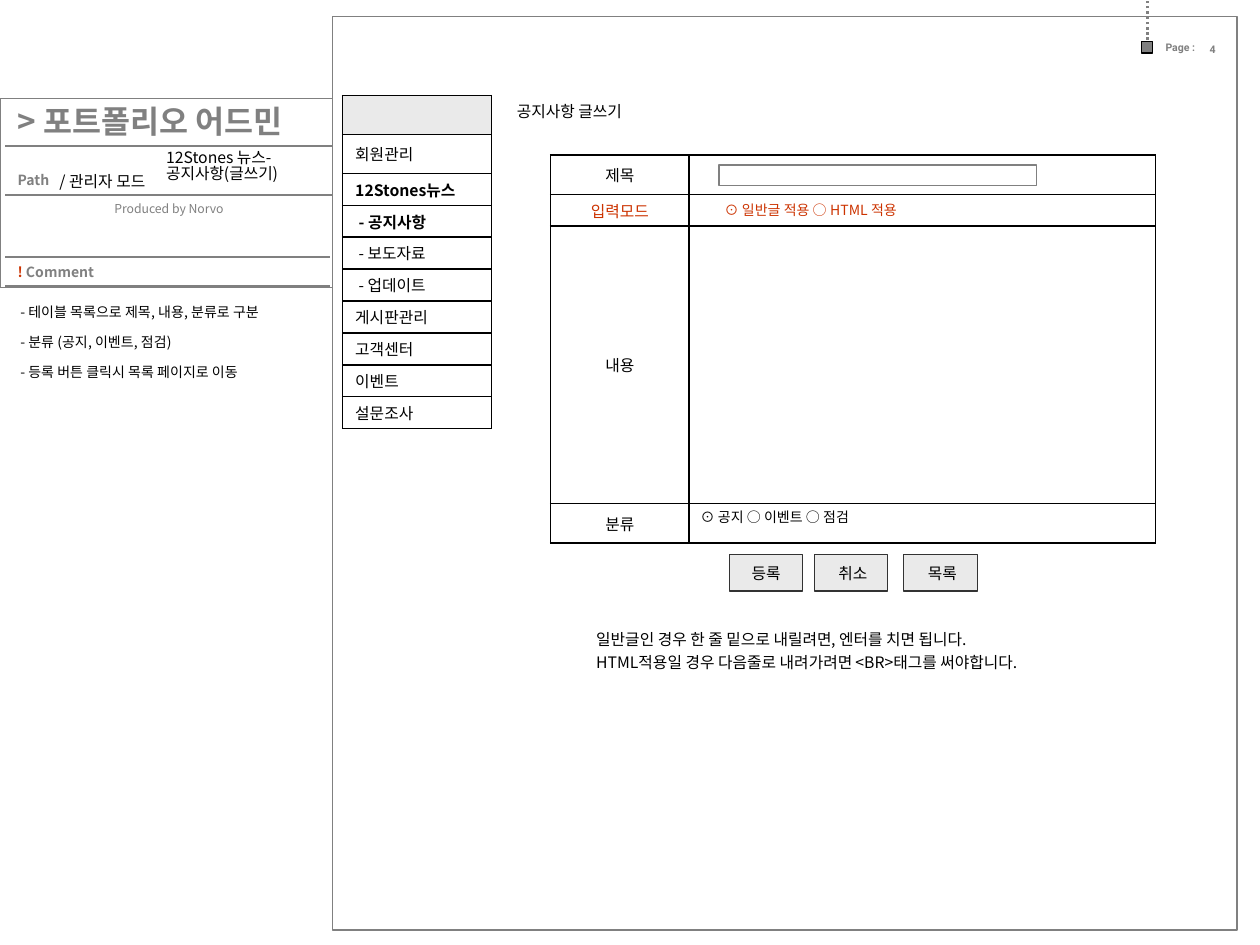
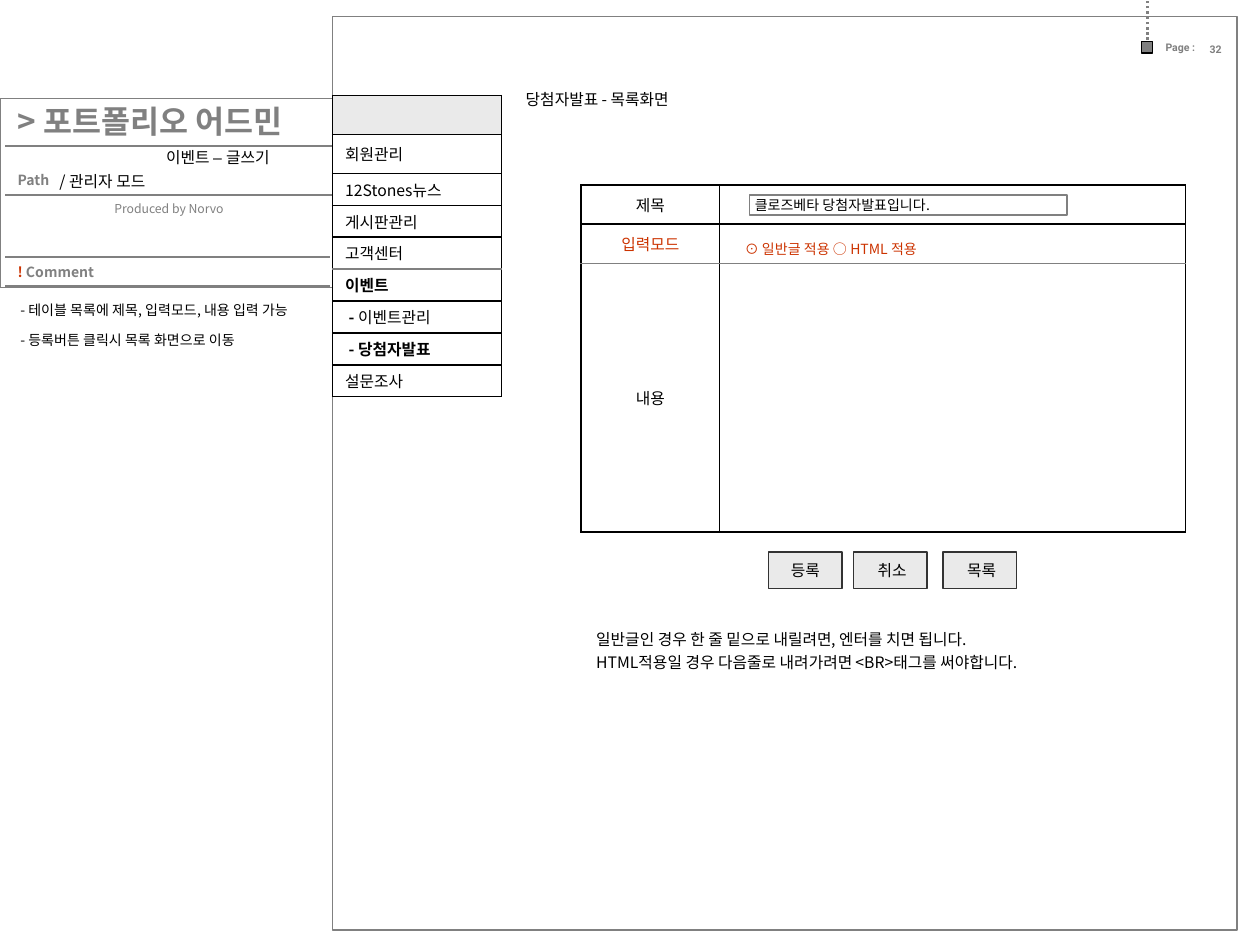
from dataclasses import dataclass
from itertools import accumulate

from lxml.etree import SubElement
from pptx import Presentation
from pptx.dml.color import RGBColor
from pptx.enum.dml import MSO_LINE_DASH_STYLE as Dash
from pptx.enum.shapes import MSO_CONNECTOR, MSO_SHAPE
from pptx.enum.text import MSO_ANCHOR as Anchor, PP_ALIGN as Align
from pptx.oxml.ns import qn
from pptx.util import Pt


@dataclass(frozen=True)
class Theme:
    font: str = "Noto Sans CJK KR"
    page_font: str = "Roboto"
    dash_font: str = "Arial"
    black: str = "000000"
    gray: str = "808080"
    red: str = "CC3300"
    panel: str = "EAEAEA"
    button_edge: str = "333333"
    title: float = 18
    body: float = 9
    small: float = 8
    credit: float = 7
    page: float = 6


THEME = Theme()
BOLD, PLAIN = {"bold": True}, {"bold": False}

# Content
PROJECT = "> 포트폴리오 어드민"
CREDIT = "Produced by Norvo"
MODE = "/ 관리자 모드"
INPUT_MODES = "⊙ 일반글 적용 ○ HTML 적용"
BUTTONS = ["등록", "취소", "목록"]
NOTES = [
    "일반글인 경우 한 줄 밑으로 내릴려면, 엔터를 치면 됩니다.",
    "HTML적용일 경우 다음줄로 내려가려면 <BR>태그를 써야합니다.",
]

SCREENS = [
    {
        "page": "4",
        "path": ["12Stones 뉴스-", "공지사항(글쓰기)"],
        "heading": ("공지사항 글쓰기", 292.3, 54.7),
        "comments": [
            "- 테이블 목록으로 제목, 내용, 분류로 구분",
            "- 분류 (공지, 이벤트, 점검)",
            "- 등록 버튼 클릭시 목록 페이지로 이동",
        ],
        "comment_height": 55.4,
        "menu": [
            "회원관리", [("12Stones뉴스", BOLD)], [("- 공지사항", BOLD)],
            "- 보도자료", "- 업데이트", "게시판관리", "고객센터", "이벤트", "설문조사",
        ],
        "menu_box": (195.8, 85),
        "menu_gray_after": None,
        "form": [("제목", 22.4), ("입력모드", 18.2), ("내용", 158.4), ("분류", 22.8)],
        "form_at": (314.6, 88.6),
        "form_gray_after": None,
        "field": "",
        "modes_at": (411.1, 111.6),
        "categories": "⊙ 공지 ○ 이벤트 ○ 점검",
        "buttons_at": (416.8, 316.9),
    },
    {
        "page": "32",
        "path": [[("이벤트 ", {}), ("– ", {"font": THEME.dash_font}), ("글쓰기", {})]],
        "heading": ("당첨자발표 - 목록화면", 297.4, 47.5),
        "comments": [
            "- 테이블 목록에 제목, 입력모드, 내용 입력 가능",
            "- 등록버튼 클릭시 목록 화면으로 이동",
        ],
        "comment_height": 36,
        "menu": [
            "회원관리", "12Stones뉴스", "게시판관리", "고객센터", [("이벤트", BOLD)],
            [("- ", BOLD), ("이벤트관리", PLAIN)], [("- 당첨자발표", BOLD)], "설문조사",
        ],
        "menu_box": (190, 96.5),
        "menu_gray_after": 4,
        "form": [("제목", 22.4), ("입력모드", 22.6), ("내용", 153.3)],
        "form_at": (332, 105.7),
        "form_gray_after": 1,
        "field": "클로즈베타 당첨자발표입니다.",
        "modes_at": (422.6, 133.9),
        "categories": None,
        "buttons_at": (439.2, 315.4),
    },
]


def rgb(color):
    return RGBColor.from_string(color)


def write(paragraph, content, size, color=THEME.black, bold=False, font=THEME.font):
    """Fill a paragraph from a string or from (text, overrides) runs."""
    pieces = [(content, {})] if isinstance(content, str) else content
    for text, changes in pieces:
        look = {"color": color, "bold": bold, "font": font, **changes}
        run = paragraph.add_run()
        run.text = text
        run.font.size = Pt(size)
        run.font.bold = look["bold"]
        run.font.color.rgb = rgb(look["color"])
        run.font.name = look["font"]
        SubElement(run.font._element, qn("a:ea"), typeface=look["font"])


def set_text(shape, paragraphs, size, inset=3, align=Align.LEFT, anchor=Anchor.MIDDLE,
             gap=0, spacing=None, top=0, **look):
    frame = shape.text_frame
    frame.word_wrap = True
    frame.vertical_anchor = anchor
    frame.margin_left = frame.margin_right = Pt(inset)
    frame.margin_top, frame.margin_bottom = Pt(top), 0
    for index, content in enumerate(paragraphs):
        paragraph = frame.add_paragraph() if index else frame.paragraphs[0]
        paragraph.alignment = align
        if index and gap:
            paragraph.space_before = Pt(gap)
        if spacing:
            paragraph.line_spacing = spacing
        write(paragraph, content, size, **look)


def add_text(slide, box, paragraphs, size, **options):
    shape = slide.shapes.add_textbox(*map(Pt, box))
    set_text(shape, paragraphs, size, **options)


def add_box(slide, box, edge, width=0.75, fill=None):
    shape = slide.shapes.add_shape(MSO_SHAPE.RECTANGLE, *map(Pt, box))
    shape.shadow.inherit = False
    if fill:
        shape.fill.solid()
        shape.fill.fore_color.rgb = rgb(fill)
    else:
        shape.fill.background()
    shape.line.color.rgb = rgb(edge)
    shape.line.width = Pt(width)
    return shape


def add_line(slide, start, end, width=1, dash=None):
    line = slide.shapes.add_connector(MSO_CONNECTOR.STRAIGHT, *map(Pt, start + end))
    line.line.color.rgb = rgb(THEME.gray)
    line.line.width = Pt(width)
    if dash:
        line.line.dash_style = dash
    SubElement(line._element.spPr, qn("a:effectLst"))


def set_borders(cell, **colors):
    properties = cell._tc.get_or_add_tcPr()
    for index, side in enumerate("LRTB"):
        line = properties.makeelement(qn(f"a:ln{side}"), {"w": str(Pt(1))})
        fill = SubElement(line, qn("a:solidFill"))
        SubElement(fill, qn("a:srgbClr"), val=colors.get(side, THEME.black))
        properties.insert(index, line)


def add_grid(slide, left, top, widths, heights, gray_after):
    """Add a plain ruled table; the rule below row gray_after is gray."""
    frame = slide.shapes.add_table(len(heights), len(widths), Pt(left), Pt(top),
                                   Pt(sum(widths)), Pt(sum(heights)))
    table = frame.table
    table.first_row = table.horz_banding = False
    for column, width in zip(table.columns, widths):
        column.width = Pt(width)
    for index, (row, height) in enumerate(zip(table.rows, heights)):
        row.height = Pt(height)
        colors = {}
        if gray_after is not None and index in (gray_after, gray_after + 1):
            colors["B" if index == gray_after else "T"] = THEME.gray
        for cell in row.cells:
            cell.fill.background()
            cell.vertical_anchor = Anchor.MIDDLE
            cell.margin_left = cell.margin_right = Pt(3)
            cell.margin_top = cell.margin_bottom = 0
            set_borders(cell, **colors)
            # Keeps empty cells from stretching their row
            ending = cell.text_frame.paragraphs[0]._p.get_or_add_endParaRPr()
            ending.set("sz", str(int(THEME.body * 100)))
    return table


def draw_frame(slide, screen):
    # Side panel
    gray_bold = {"color": THEME.gray, "bold": True}
    comment_title = [("!", {"color": THEME.red}), (" Comment", {})]
    add_text(slide, (3, 146.9, 131.8, 16.6), [comment_title], THEME.small,
             inset=7.2, **gray_bold)
    add_text(slide, (3, 111.6, 131.8, 14.6), [CREDIT], THEME.credit, inset=7.2,
             align=Align.RIGHT, color=THEME.gray)
    add_text(slide, (3, 95, 60, 16), ["Path"], THEME.small, inset=7.2, **gray_bold)
    add_text(slide, (3, 54.7, 185.8, 28.8), [PROJECT], THEME.title, inset=7.2, **gray_bold)
    for y, right in [(83.5, 190), (111.6, 190), (146.9, 188.6), (163.5, 188.6)]:
        add_line(slide, (3, y), (right, y))

    # Page marker and frames
    for text, box in [("Page :", (659.5, 20.2, 37.4, 13.7)),
                      (screen["page"], (684.7, 20.9, 33.8, 14.4))]:
        add_text(slide, box, [text], THEME.page, inset=6.5, font=THEME.page_font, **gray_bold)
    add_box(slide, (652.3, 23.8, 6.5, 6.5), THEME.black, fill=THEME.gray)
    add_line(slide, (655.9, 25.9), (655.9, 0.7), 1.5, Dash.ROUND_DOT)
    add_box(slide, (190, 9.4, 517, 522), THEME.gray, 1)
    add_box(slide, (0, 56.2, 190, 108), THEME.gray)

    # Path and comments
    add_text(slide, (31, 94.3, 158.4, 18), [MODE], THEME.body)
    add_text(slide, (87.8, 82.8, 101.5, 25), screen["path"], THEME.body, inset=7.2,
             anchor=Anchor.TOP, top=3.6, spacing=0.84)
    add_text(slide, (8.6, 167.8, 181.4, screen["comment_height"]), screen["comments"],
             THEME.small, gap=7.5)


def draw_menu(slide, screen):
    left, width = screen["menu_box"]
    heights = [22.2, 22.2] + [18.25] * (len(screen["menu"]) - 1)
    table = add_grid(slide, left, 54.7, [width], heights, screen["menu_gray_after"])
    if screen["menu_gray_after"]:
        pass
    header = table.cell(0, 0)
    header.fill.solid()
    header.fill.fore_color.rgb = rgb(THEME.panel)
    for row, item in enumerate(screen["menu"], 1):
        cell = table.cell(row, 0)
        label = item if isinstance(item, str) else item[0][0]
        cell.margin_left = Pt(9.2 if label.startswith("-") else 7.2)
        write(cell.text_frame.paragraphs[0], item, THEME.body)


def draw_form(slide, screen):
    left, top = screen["form_at"]
    heights = [height for _, height in screen["form"]]
    table = add_grid(slide, left, top, [79.2, 266.4], heights, screen["form_gray_after"])
    for row, (label, _) in enumerate(screen["form"]):
        paragraph = table.cell(row, 0).text_frame.paragraphs[0]
        paragraph.alignment = Align.CENTER
        write(paragraph, label, THEME.body,
              color=THEME.red if label == "입력모드" else THEME.black)

    # Field and choices
    field = add_box(slide, (left + 96.3, top + 5.8, 181.4, 11.5), THEME.gray)
    if screen["field"]:
        set_text(field, [screen["field"]], THEME.small)
    add_text(slide, (*screen["modes_at"], 164.2, 16.6), [INPUT_MODES], THEME.small,
             color=THEME.red)
    if screen["categories"]:
        last_row = top + list(accumulate(heights))[-2]
        add_text(slide, (397.4, last_row - 0.6, 110, 16.6), [screen["categories"]], THEME.small)

    # Buttons
    x, y = screen["buttons_at"]
    for label, offset in zip(BUTTONS, (0, 48.6, 99.7)):
        button = add_box(slide, (x + offset, y, 42, 20.9), THEME.button_edge, fill=THEME.panel)
        set_text(button, [label], THEME.body, inset=0, align=Align.CENTER)
        if offset:
            button.text_frame.margin_left = Pt(2)


def main():
    presentation = Presentation()
    presentation.slide_width, presentation.slide_height = Pt(720), Pt(540)
    for screen in SCREENS:
        slide = presentation.slides.add_slide(presentation.slide_layouts[6])
        draw_frame(slide, screen)
        draw_menu(slide, screen)
        heading, x, y = screen["heading"]
        add_text(slide, (x, y, 120, 18), [heading], THEME.body)
        draw_form(slide, screen)
        add_text(slide, (337.7, 355, 272.2, 33.8), NOTES, THEME.body, gap=2.4)
    presentation.save("out.pptx")


if __name__ == "__main__":
    main()
